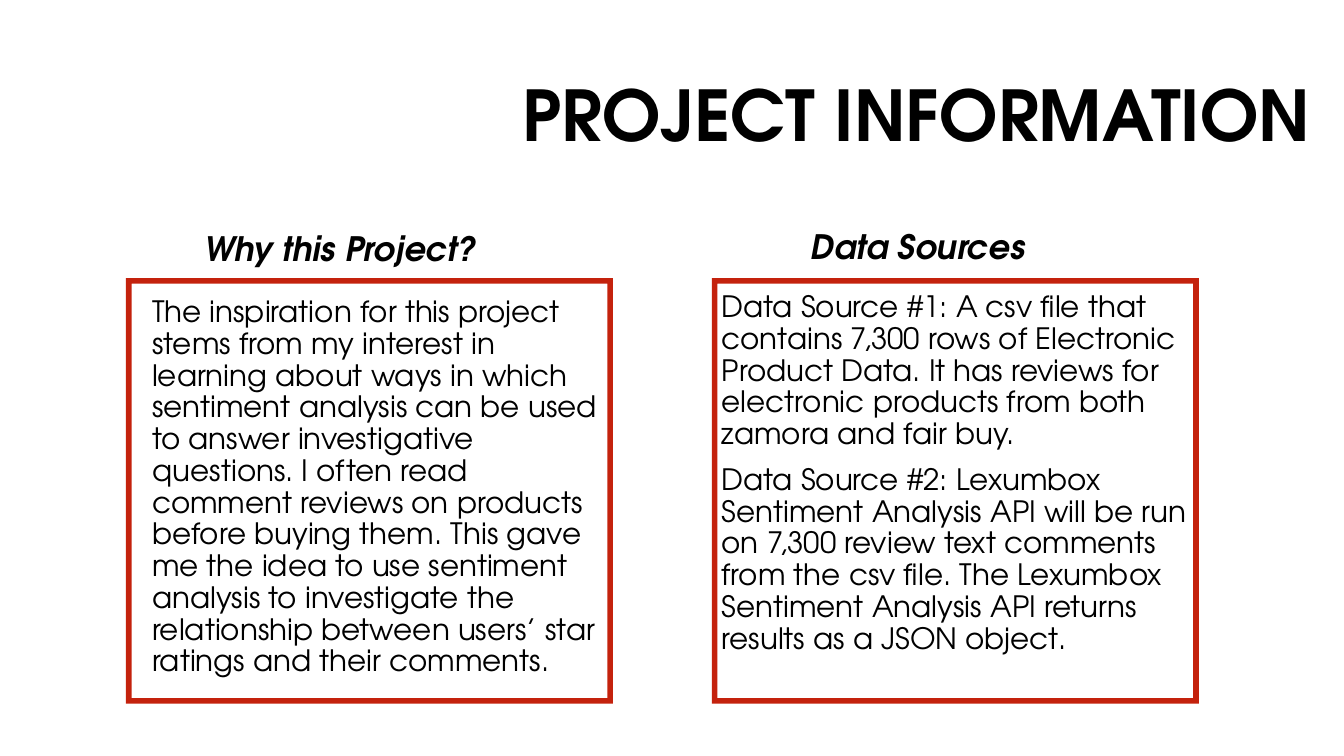
from pptx import Presentation
from pptx.dml.color import RGBColor
from pptx.enum.shapes import MSO_SHAPE
from pptx.enum.text import MSO_ANCHOR, MSO_AUTO_SIZE, PP_ALIGN
from pptx.util import Inches, Pt

FONT = "TeX Gyre Adventor"
COLORS = {"text": "000000", "frame": "C4220D"}
TITLE = "PROJECT INFORMATION "
TITLE_BOX = (3.88, 0.46, 9.42, 1.43)
FRAME_TOP, FRAME_WIDTH, FRAME_HEIGHT = 2.76, 4.83, 4.22
FRAME_THICKNESS = 0.013

COLUMNS = [
    {
        "frame_left": 1.25,
        "heading": "Why this Project? ",
        "heading_box": (1.41, 2.02, 4.02, 0.69),
        "body_box": (1.41, 2.9, 4.67, 4.08),
        "body": [
            "The inspiration for this project stems from my interest in learning "
            "about ways in which sentiment analysis can be used to answer "
            "investigative questions. I often read comment reviews on products "
            "before buying them. This gave me the idea to use sentiment analysis "
            "to investigate the relationship between users’ star ratings and "
            "their comments.",
        ],
    },
    {
        "frame_left": 7.06,
        "heading": "Data Sources ",
        "heading_box": (7.26, 2.02, 3.78, 0.68),
        "body_box": (7.06, 2.85, 4.83, 4.16),
        "body": [
            "Data Source #1: A csv file that contains 7,300 rows of Electronic "
            "Product Data. It has reviews for electronic products from both "
            "zamora and fair buy.",
            "Data Source #2: Lexumbox Sentiment Analysis API will be run on 7,300 "
            "review text comments from the csv file. The Lexumbox Sentiment "
            "Analysis API returns results as a JSON object.",
        ],
    },
]


def fill_text(shape, paragraphs, size, anchor, alignment,
              bold=False, italic=False, space_before=10):
    frame = shape.text_frame
    frame.word_wrap = True
    frame.auto_size = MSO_AUTO_SIZE.NONE
    frame.vertical_anchor = anchor
    for index, text in enumerate(paragraphs):
        paragraph = frame.add_paragraph() if index else frame.paragraphs[0]
        paragraph.alignment = alignment
        paragraph.line_spacing = 0.9
        paragraph.space_before = Pt(space_before)
        run = paragraph.add_run()
        run.text = text
        font = run.font
        font.name, font.size = FONT, Pt(size)
        font.bold, font.italic = bold, italic
        font.color.rgb = RGBColor.from_string(COLORS["text"])


def add_text(slide, box, *args, **styles):
    shape = slide.shapes.add_textbox(*map(Inches, box))
    fill_text(shape, *args, **styles)


def add_frame(slide, left):
    shape = slide.shapes.add_shape(
        MSO_SHAPE.FRAME, Inches(left), Inches(FRAME_TOP),
        Inches(FRAME_WIDTH), Inches(FRAME_HEIGHT))
    shape.adjustments[0] = FRAME_THICKNESS
    shape.shadow.inherit = False
    shape.fill.solid()
    shape.fill.fore_color.rgb = RGBColor.from_string(COLORS["frame"])
    shape.line.fill.background()


def main():
    presentation = Presentation()
    presentation.slide_width = Inches(13.33)
    presentation.slide_height = Inches(7.5)
    slide = presentation.slides.add_slide(presentation.slide_layouts[5])

    title = slide.shapes.title
    title.left, title.top, title.width, title.height = map(Inches, TITLE_BOX)
    fill_text(title, [TITLE], 50, MSO_ANCHOR.MIDDLE, PP_ALIGN.RIGHT,
              bold=True, space_before=0)

    for column in COLUMNS:
        add_text(slide, column["heading_box"], [column["heading"]], 24,
                 MSO_ANCHOR.BOTTOM, PP_ALIGN.CENTER, bold=True, italic=True)
        add_text(slide, column["body_box"], column["body"], 21,
                 MSO_ANCHOR.TOP, PP_ALIGN.LEFT)
        add_frame(slide, column["frame_left"])

    presentation.save("out.pptx")


if __name__ == "__main__":
    main()
